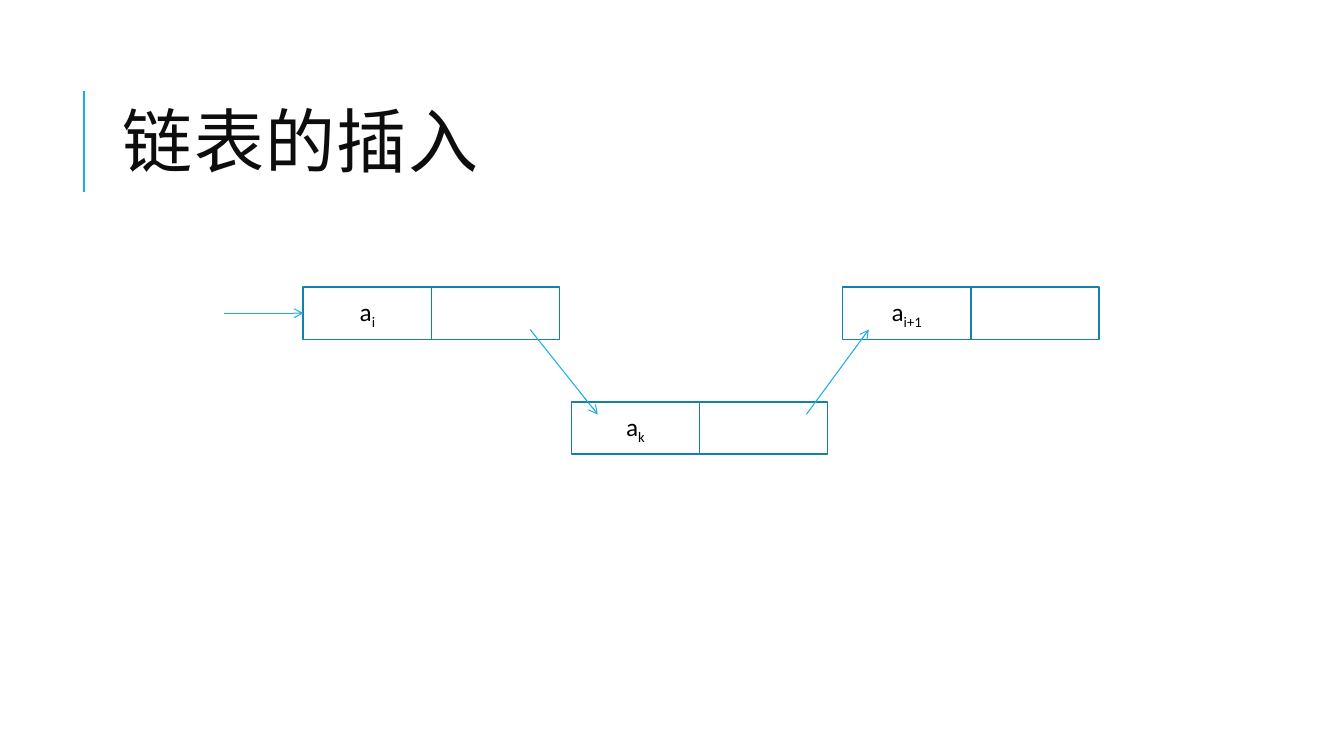
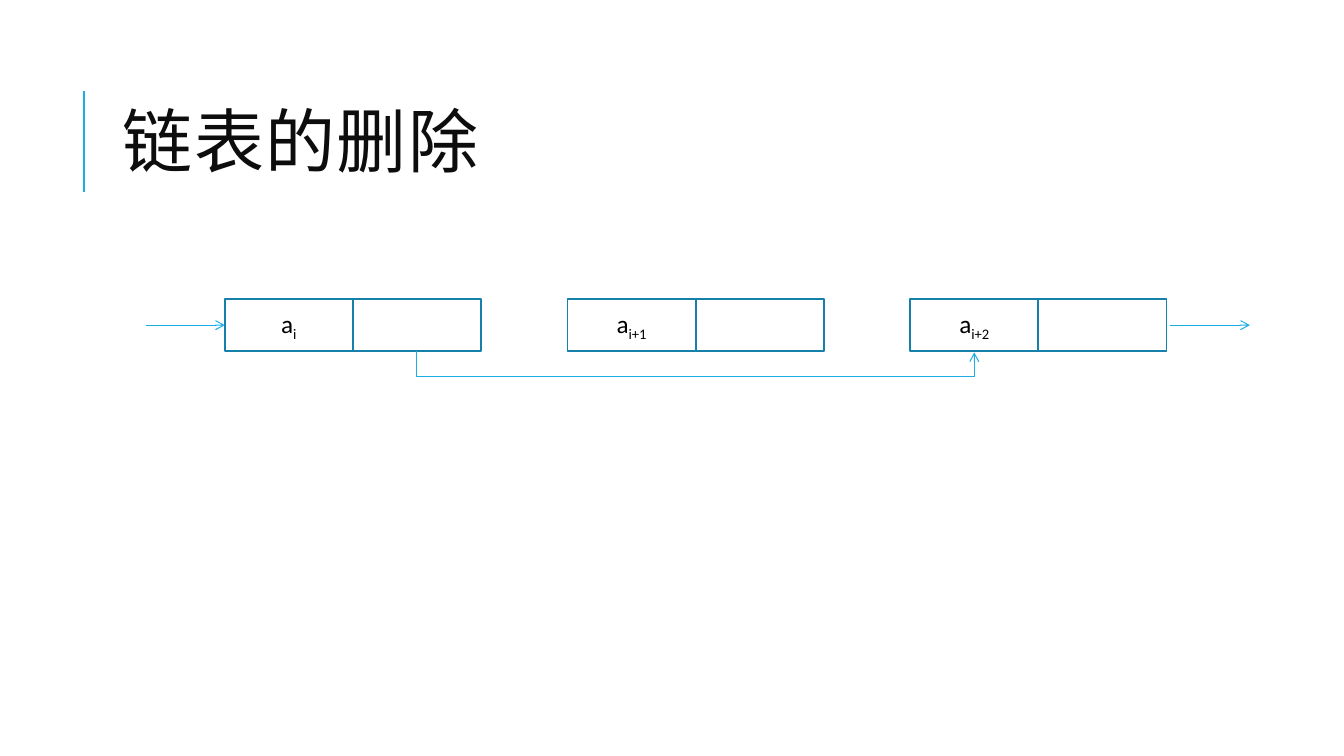
"""Build two slides on inserting into and deleting from a linked list."""
import dataclasses
import typing

import lxml.etree
import pptx
import pptx.dml.color
import pptx.enum.shapes
import pptx.enum.text
import pptx.oxml.ns
import pptx.shapes.connector
import pptx.slide
import pptx.text.text
import pptx.util

Pt = pptx.util.Pt
qn = pptx.oxml.ns.qn
RGB = pptx.dml.color.RGBColor
Connectors = pptx.enum.shapes.MSO_CONNECTOR


@dataclasses.dataclass(frozen=True)
class Theme:
    accent: RGB = RGB.from_string("1CADE4")
    outline: RGB = RGB.from_string("1580A9")
    title_ink: RGB = RGB.from_string("0D0D0D")
    ink: RGB = RGB.from_string("000000")
    title_font: str = "Cabin"
    body_font: str = "Calibri"
    title_size: float = 50
    label_size: float = 18
    rule_width: float = 1.5
    box_width: float = 1.25
    arrow_width: float = 0.75


THEME = Theme()
CELL_WIDTH, CELL_HEIGHT = 91.5, 37.5


class Point(typing.NamedTuple):
    x: float
    y: float


class Arrow(typing.NamedTuple):
    start: Point
    end: Point


class Node(typing.NamedTuple):
    left: float
    top: float
    subscript: str

    @property
    def entry(self) -> Point:
        return Point(self.left, self.top + CELL_HEIGHT / 2)

    @property
    def exit(self) -> Point:
        return Point(self.left + 2 * CELL_WIDTH, self.entry.y)

    def cell_foot(self, column: int) -> Point:
        return Point(self.left + (column + 0.5) * CELL_WIDTH, self.top + CELL_HEIGHT)


def add_span(para: pptx.text.text._Paragraph, text: str, font: str, size: float,
             colour: RGB, **attributes: str) -> None:
    span = para.add_run()
    span.text = text
    span.font.name = font
    span.font.size = Pt(size)
    span.font.color.rgb = colour
    for name, value in attributes.items():
        span._r.get_or_add_rPr().set(name, value)


def draw_line(page: pptx.slide.Slide, start: Point, end: Point, width: float,
              kind: Connectors = Connectors.STRAIGHT,
              arrowhead: bool = True) -> pptx.shapes.connector.Connector:
    line = page.shapes.add_connector(kind, *map(Pt, (*start, *end)))
    line.line.width = Pt(width)
    line.line.color.rgb = THEME.accent
    properties = line.element.spPr
    if arrowhead:
        lxml.etree.SubElement(properties.find(qn("a:ln")), qn("a:tailEnd"), type="arrow")
    lxml.etree.SubElement(properties, qn("a:effectLst"))
    return line


def draw_bypass(page: pptx.slide.Slide, start: Point, end: Point, drop: float) -> None:
    rise, run = 0.72, end.x - start.x
    centre = Point((start.x + end.x) / 2, start.y + rise / 2)
    line = draw_line(page, Point(centre.x + rise / 2, centre.y - run / 2),
                     Point(centre.x - rise / 2, centre.y + run / 2),
                     THEME.arrow_width, Connectors.ELBOW)
    properties = line.element.spPr
    properties.find(qn("a:xfrm")).set("rot", str(270 * 60000))
    adjustments = properties.find(qn("a:prstGeom")).find(qn("a:avLst"))
    lxml.etree.SubElement(adjustments, qn("a:gd"), name="adj1",
                          fmla=f"val {round(drop / rise * 100000)}")


def draw_node(page: pptx.slide.Slide, node: Node) -> None:
    for column, subscript in enumerate((node.subscript, "")):
        box = page.shapes.add_shape(
            pptx.enum.shapes.MSO_SHAPE.RECTANGLE, Pt(node.left + column * CELL_WIDTH),
            Pt(node.top), Pt(CELL_WIDTH), Pt(CELL_HEIGHT))
        box.shadow.inherit = False
        box.fill.background()
        box.line.color.rgb = THEME.outline
        box.line.width = Pt(THEME.box_width)
        if subscript:
            box.text_frame.vertical_anchor = pptx.enum.text.MSO_ANCHOR.MIDDLE
            para = box.text_frame.paragraphs[0]
            para.alignment = pptx.enum.text.PP_ALIGN.CENTER
            style = (THEME.body_font, THEME.label_size, THEME.ink)
            add_span(para, "a", *style)
            add_span(para, subscript, *style, baseline="-25000")


def add_page(deck: pptx.presentation.Presentation, title: str,
             nodes: typing.Sequence[Node], arrows: typing.Sequence[Arrow]) -> pptx.slide.Slide:
    page = deck.slides.add_slide(deck.slide_layouts[6])
    draw_line(page, Point(60, 136.8), Point(60, 64.8), THEME.rule_width, arrowhead=False)
    box = page.shapes.add_textbox(Pt(80.6), Pt(46), Pt(765.4), Pt(118))
    box.text_frame.word_wrap = True
    box.text_frame.vertical_anchor = pptx.enum.text.MSO_ANCHOR.MIDDLE
    para = box.text_frame.paragraphs[0]
    para.line_spacing = 0.8
    add_span(para, title, THEME.title_font, THEME.title_size, THEME.title_ink, spc="100")
    for node in nodes:
        draw_node(page, node)
    for arrow in arrows:
        draw_line(page, arrow.start, arrow.end, THEME.arrow_width)
    return page


def add_insertion(deck: pptx.presentation.Presentation) -> None:
    before = Node(216.7, 205, "i")
    after = Node(601.9, 205, "i+1")
    inserted = Node(408.2, 287, "k")
    add_page(deck, "链表的插入", (before, after, inserted), (
        Arrow(Point(160, before.entry.y), before.entry),
        Arrow(Point(378.7, 235.4), Point(427, 296)),
        Arrow(Point(576, 296), Point(620.6, 235.4))))


def add_deletion(deck: pptx.presentation.Presentation) -> None:
    nodes = [Node(160.6 + 244.8 * index, 213.5, subscript)
             for index, subscript in enumerate(("i", "i+1", "i+2"))]
    first, last = nodes[0], nodes[-1]
    page = add_page(deck, "链表的删除", nodes, (
        Arrow(Point(104.4, first.entry.y), first.entry),
        Arrow(Point(836, last.exit.y), Point(892.8, last.exit.y))))
    draw_bypass(page, first.cell_foot(1), last.cell_foot(0), 18.5)


def main() -> None:
    deck = pptx.Presentation()
    deck.slide_width, deck.slide_height = Pt(960), Pt(540)
    add_insertion(deck)
    add_deletion(deck)
    deck.save("out.pptx")


main()
